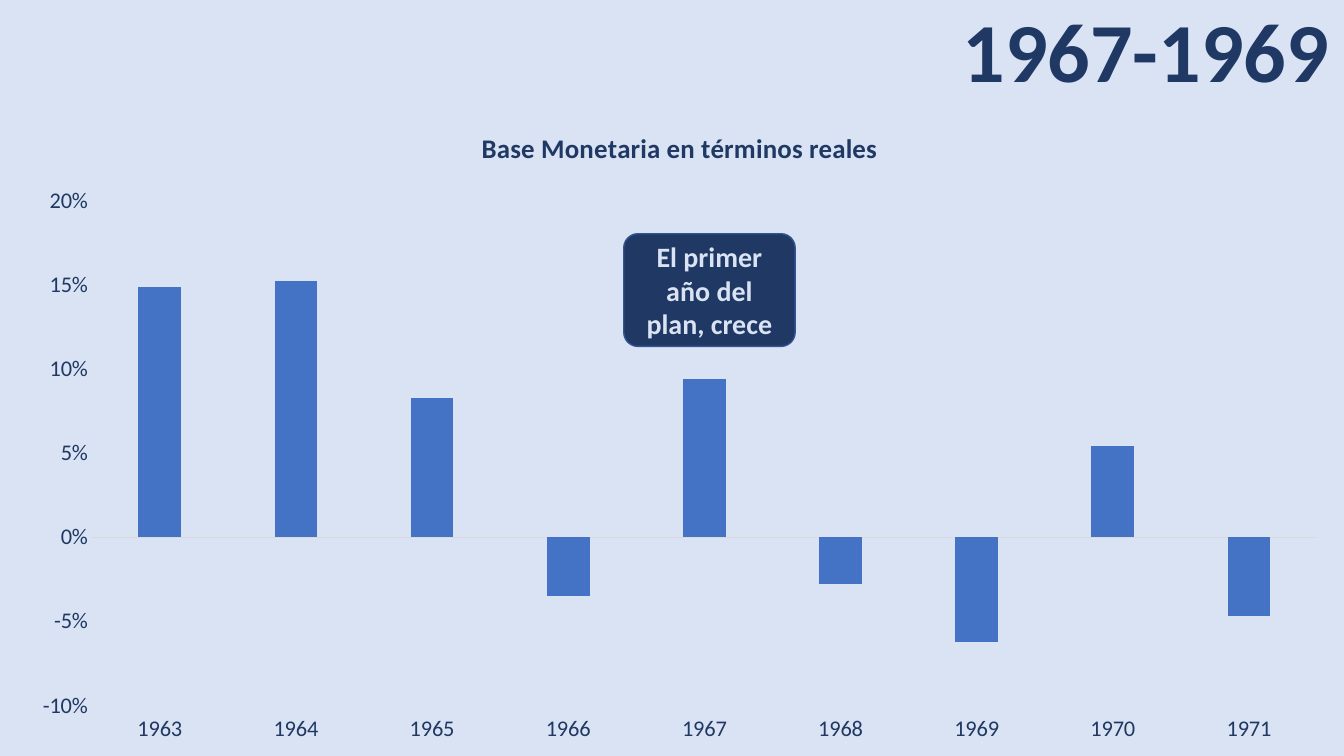
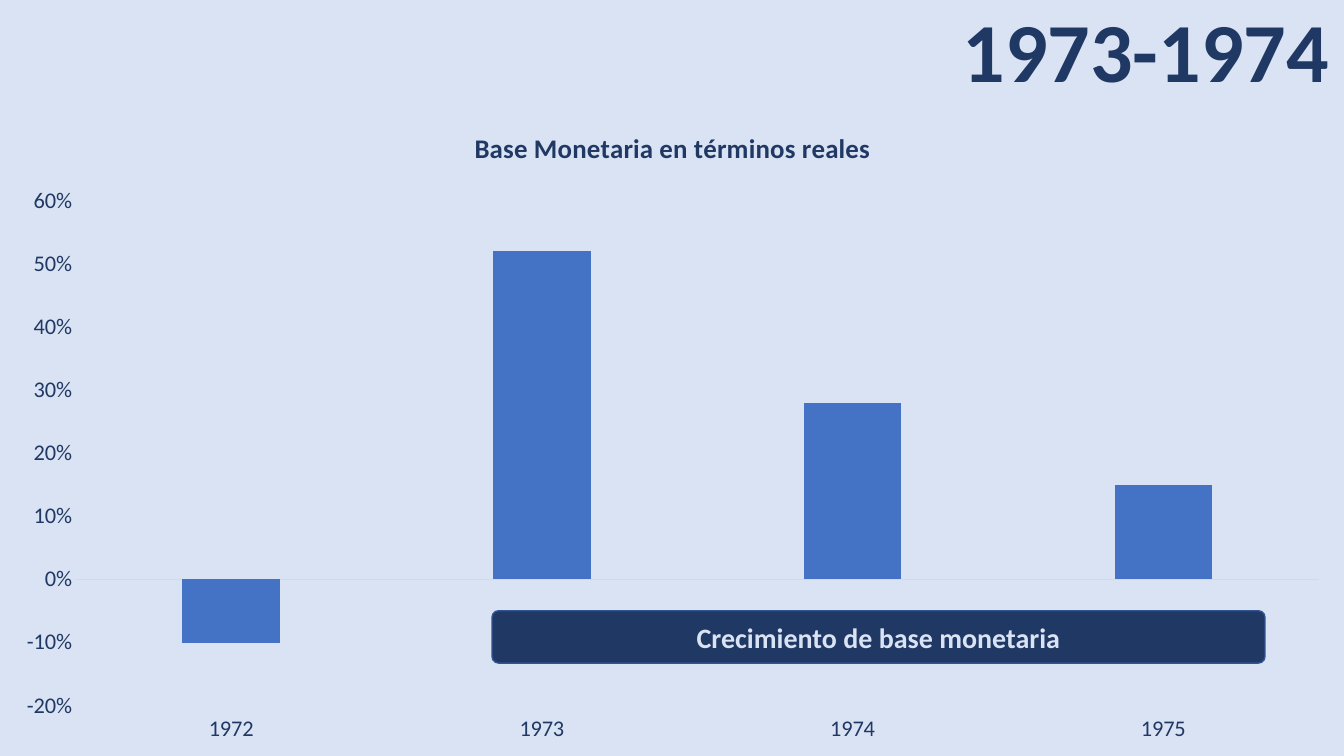
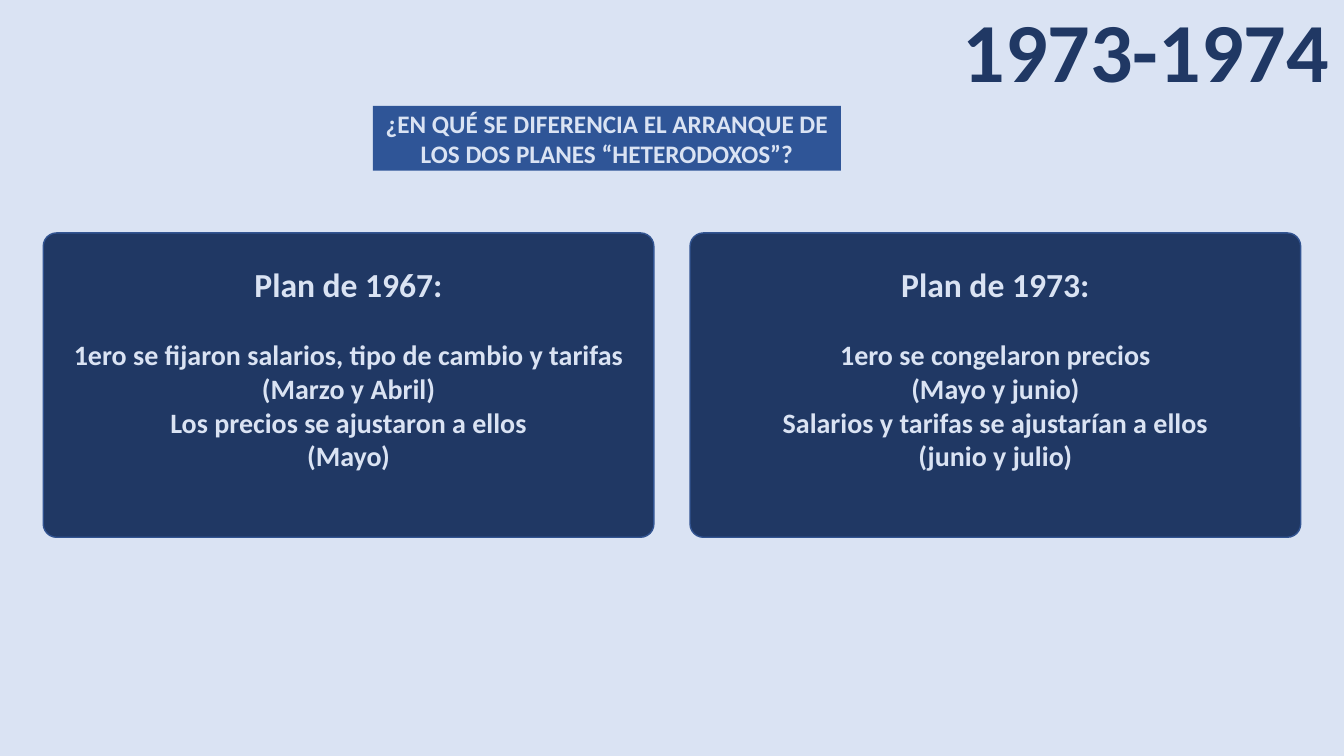
from dataclasses import dataclass
from typing import Optional

from pptx import Presentation
from pptx.chart.data import CategoryChartData
from pptx.dml.color import RGBColor
from pptx.enum.chart import XL_CHART_TYPE as ChartType, XL_TICK_LABEL_POSITION as LabelPos
from pptx.enum.chart import XL_TICK_MARK as TickMark
from pptx.enum.shapes import MSO_SHAPE as Shape
from pptx.enum.text import MSO_ANCHOR as Anchor, PP_ALIGN as Align
from pptx.util import Cm, Pt

COLORS = {
    "background": "DAE3F3",
    "navy": "203864",
    "outline": "325491",
    "banner": "2F5597",
    "bar": "4472C4",
    "axis": "D9D9D9",
}
FONT = "Calibri"
SLIDE_W, SLIDE_H = 33.87, 19.05
HEADER_H = 2.67
CARD_MARGIN, CARD_W = 1.09, 15.39


@dataclass(frozen=True)
class Box:
    """Position and size in centimetres."""
    left: float
    top: float
    width: float
    height: float

    def lengths(self) -> tuple:
        return Cm(self.left), Cm(self.top), Cm(self.width), Cm(self.height)


@dataclass(frozen=True)
class Line:
    text: str
    size: float = 20
    after: float = 0


@dataclass(frozen=True)
class Panel:
    box: Box
    lines: list[Line]
    fill: str = "navy"
    outline: Optional[str] = "outline"
    radius: Optional[float] = 0.125
    bottom_inset: float = 0.13


@dataclass(frozen=True)
class BarChart:
    box: Box
    first_year: int
    values: list[float]
    low: float
    high: float
    step: float


def rgb(name: str) -> RGBColor:
    return RGBColor.from_string(COLORS[name])


def style_font(font, size: float, color: str, bold: bool = True) -> None:
    font.name, font.size, font.bold = FONT, Pt(size), bold
    font.color.rgb = rgb(color)


def write_lines(tf, lines: list[Line], color: str) -> None:
    tf.word_wrap = True
    for i, line in enumerate(lines):
        p = tf.add_paragraph() if i else tf.paragraphs[0]
        p.text = line.text
        p.alignment = Align.CENTER
        p.space_after = Pt(line.after)
        style_font(p.font, line.size, color)


def add_titled_slide(prs, title: str):
    s = prs.slides.add_slide(prs.slide_layouts[6])
    tf = s.shapes.add_textbox(*Box(23.85, 0, 10.06, HEADER_H).lengths()).text_frame
    write_lines(tf, [Line(title, 60)], "navy")
    tf.vertical_anchor = Anchor.BOTTOM
    tf.paragraphs[0].line_spacing = 0.9
    return s


def add_panel(s, panel: Panel) -> None:
    kind = Shape.RECTANGLE if panel.radius is None else Shape.ROUNDED_RECTANGLE
    sp = s.shapes.add_shape(kind, *panel.box.lengths())
    sp.shadow.inherit = False
    if panel.radius is not None:
        sp.adjustments[0] = panel.radius
    sp.fill.solid()
    sp.fill.fore_color.rgb = rgb(panel.fill)
    if panel.outline:
        sp.line.color.rgb = rgb(panel.outline)
        sp.line.width = Pt(1)
    else:
        sp.line.fill.background()
    tf = sp.text_frame
    tf.vertical_anchor = Anchor.MIDDLE
    tf.margin_bottom = Cm(panel.bottom_inset)
    write_lines(tf, panel.lines, "background")


def add_bar_chart(s, spec: BarChart) -> None:
    data = CategoryChartData(number_format="0%")
    data.categories = [str(spec.first_year + i) for i in range(len(spec.values))]
    data.add_series("Base Monetaria", spec.values)
    chart = s.shapes.add_chart(ChartType.COLUMN_CLUSTERED, *spec.box.lengths(), data).chart
    style_font(chart.font, 16, "navy", bold=False)
    chart.has_legend = False
    chart.has_title = True
    p = chart.chart_title.text_frame.paragraphs[0]
    p.text = "Base Monetaria en términos reales"
    style_font(p.font, 19.2, "navy")
    chart.chart_title.include_in_layout = False

    years, rates = chart.category_axis, chart.value_axis
    for axis in (years, rates):
        axis.major_tick_mark = axis.minor_tick_mark = TickMark.NONE
        axis.has_major_gridlines = False
    years.tick_label_position = LabelPos.LOW
    years.format.line.color.rgb = rgb("axis")
    years.format.line.width = Pt(0.75)
    rates.format.line.fill.background()
    rates.minimum_scale, rates.maximum_scale = spec.low, spec.high
    rates.major_unit = spec.step
    rates.tick_labels.number_format = "0%"
    rates.tick_labels.number_format_is_linked = False

    plot = chart.plots[0]
    plot.gap_width, plot.overlap = 219, -27
    plot.vary_by_categories = False
    bars = plot.series[0]
    bars.invert_if_negative = False
    bars.format.fill.solid()
    bars.format.fill.fore_color.rgb = rgb("bar")


def plan_card(left: float, year: int, steps: list[str]) -> Panel:
    lines = [Line(f"Plan de {year}:", 24, after=24.4), *map(Line, steps)]
    return Panel(Box(left, 5.87, CARD_W, 7.67), lines, radius=0.044, bottom_inset=0.99)


def main() -> None:
    prs = Presentation()
    prs.slide_width, prs.slide_height = Cm(SLIDE_W), Cm(SLIDE_H)
    fill = prs.slide_master.background.fill
    fill.solid()
    fill.fore_color.rgb = rgb("background")

    chart_h = SLIDE_H - HEADER_H
    chart_slides = [
        ("1967-1969",
         BarChart(Box(0.41, HEADER_H, 33.45, chart_h), 1963,
                  [0.149, 0.152, 0.083, -0.035, 0.094, -0.028, -0.062, 0.054, -0.047],
                  -0.1, 0.2, 0.05),
         Panel(Box(15.72, 5.89, 4.32, 2.84), [Line("El primer año del plan, crece")])),
        ("1973-1974",
         BarChart(Box(0, HEADER_H, 33.91, chart_h), 1972,
                  [-0.1, 0.52, 0.28, 0.15], -0.2, 0.6, 0.1),
         Panel(Box(12.4, 15.39, 19.48, 1.32), [Line("Crecimiento de base monetaria")])),
    ]
    for title, chart, callout in chart_slides:
        s = add_titled_slide(prs, title)
        add_bar_chart(s, chart)
        add_panel(s, callout)

    s = add_titled_slide(prs, "1973-1974")
    question = "¿EN QUÉ SE DIFERENCIA EL ARRANQUE DE LOS DOS PLANES “HETERODOXOS”?"
    panels = [
        plan_card(CARD_MARGIN, 1967, [
            "1ero se fijaron salarios, tipo de cambio y tarifas", "(Marzo y Abril)",
            "Los precios se ajustaron a ellos", "(Mayo)"]),
        plan_card(SLIDE_W - CARD_MARGIN - CARD_W, 1973, [
            "1ero se congelaron precios", "(Mayo y junio)",
            "Salarios y tarifas se ajustarían a ellos", "(junio y julio)"]),
        Panel(Box(9.4, HEADER_H, 11.79, 1.63), [Line(question, 18)],
              fill="banner", outline=None, radius=None),
    ]
    for panel in panels:
        add_panel(s, panel)

    prs.save("out.pptx")


if __name__ == "__main__":
    main()
